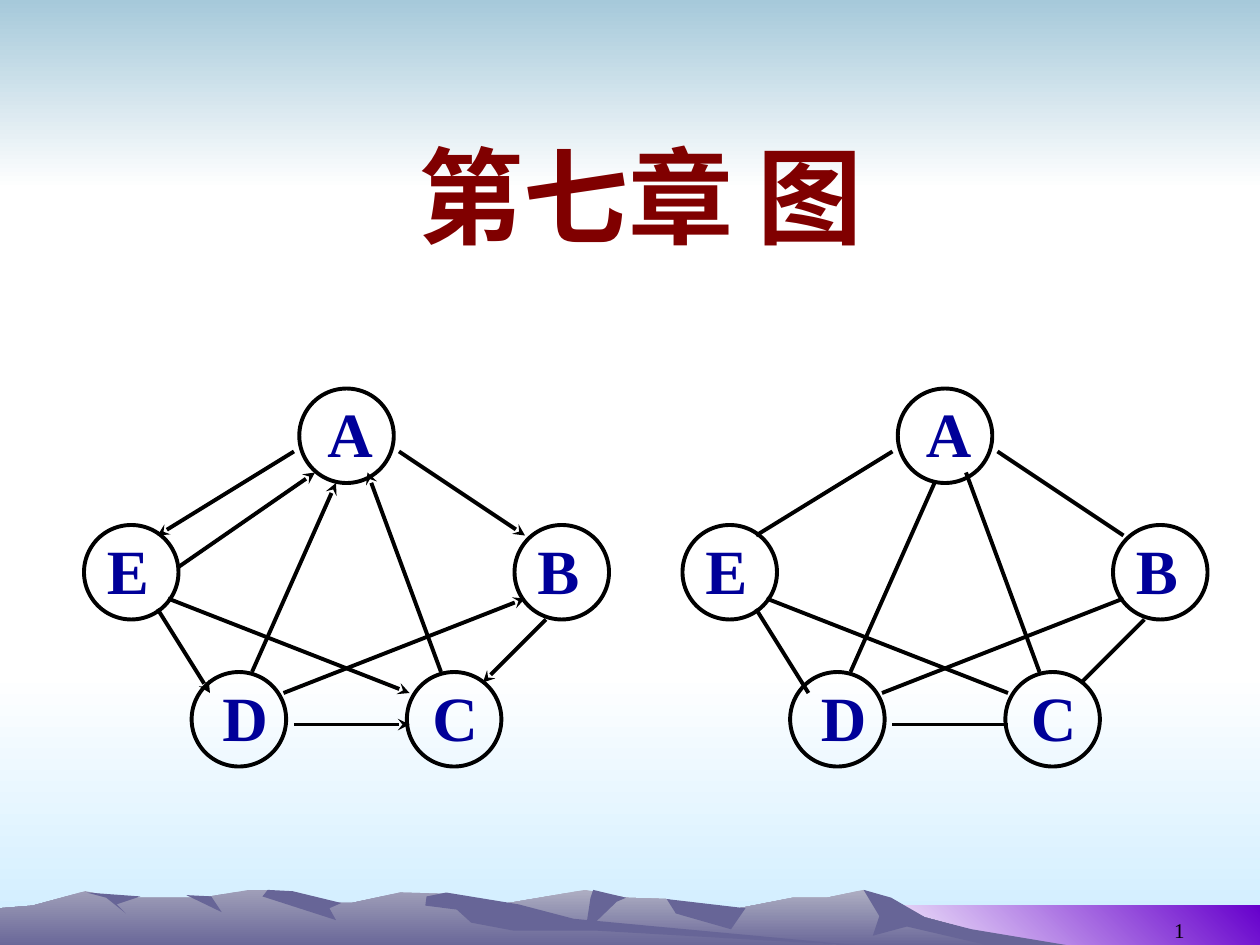
from dataclasses import dataclass

from lxml import etree
from pptx import Presentation
from pptx.dml.color import RGBColor
from pptx.enum.shapes import MSO_CONNECTOR, MSO_SHAPE
from pptx.enum.text import MSO_ANCHOR, MSO_AUTO_SIZE, PP_ALIGN
from pptx.oxml.ns import qn
from pptx.util import Pt

PX = 9525  # EMU per px, 96 px to the inch
RECTANGLE, OVAL = MSO_SHAPE.RECTANGLE, MSO_SHAPE.OVAL
STRAIGHT = MSO_CONNECTOR.STRAIGHT
MIDDLE, BOTTOM = MSO_ANCHOR.MIDDLE, MSO_ANCHOR.BOTTOM
CENTER, RIGHT = PP_ALIGN.CENTER, PP_ALIGN.RIGHT
FIT_SHAPE = MSO_AUTO_SIZE.SHAPE_TO_FIT_TEXT


@dataclass
class Theme:
    title_font: str = "Noto Sans CJK SC"
    body_font: str = "Times New Roman"
    title_size: int = 60
    label_size: int = 36
    number_size: int = 12
    line_width: float = 2.25
    title: str = "800000"
    label: str = "000099"
    ink: str = "000000"
    white: str = "FFFFFF"
    sky: str = "A6C9DA"
    haze: str = "CCECFF"
    purple: str = "6600CC"
    crag: str = "676597"
    far_ridge: str = "AEAEC2"
    near_ridge: str = "9F9EB8"


theme = Theme()


def paint(shape, colors, angle=270):
    """Fill with one colour, or with a two-colour gradient; no outline."""
    shape.shadow.inherit = False
    shape.line.fill.background()
    if len(colors) == 1:
        shape.fill.solid()
        shape.fill.fore_color.rgb = RGBColor.from_string(colors[0])
        return
    shape.fill.gradient()
    shape.fill.gradient_angle = angle
    for stop, color in zip(shape.fill.gradient_stops, colors):
        stop.color.rgb = RGBColor.from_string(color)


def style(paragraph, font_name, size, color, bold=False):
    font = paragraph.runs[0].font
    font.name, font.size, font.bold = font_name, Pt(size), bold
    font.color.rgb = RGBColor.from_string(color)


deck = Presentation()
deck.slide_width, deck.slide_height = 960 * PX, 720 * PX
slide = deck.slides.add_slide(deck.slide_layouts[5])
shapes = slide.shapes

# Background bands: left, top, width, height, colours, gradient angle
bands = [
    (0, 512, 960, 208, (theme.white, theme.haze), 270),
    (0, 0, 960, 144, (theme.sky, theme.white), 270),
    (656, 690, 304, 32, (theme.white, theme.purple), 45),
]
for left, top, width, height, colors, angle in bands:
    band = shapes.add_shape(RECTANGLE, left * PX, top * PX, width * PX, height * PX)
    paint(band, colors, angle)

# Mountains, from the far ridge to the near one, each followed by its crags
far_slope = (theme.far_ridge, theme.crag)
near_slope = (theme.near_ridge, theme.crag)
crag = (theme.crag,)
mountains = [
    (far_slope, [
        (788, 722), (694, 696), (658, 678), (630, 684), (604, 684), (543, 696), (508, 685),
        (477, 684), (446, 678), (341, 696), (248, 722)]),
    (crag, [
        (824, 722), (740, 708), (705, 699), (679, 684), (658, 678), (670, 698), (665, 713),
        (691, 706), (760, 722)]),
    (crag, [(452, 678), (450, 684), (446, 710), (470, 687), (477, 684)]),
    (crag, [(508, 685), (515, 696), (557, 708), (568, 692)]),
    (near_slope, [
        (662, 722), (415, 703), (340, 681), (305, 680), (268, 688), (227, 688), (206, 678),
        (190, 678), (154, 684), (90, 684), (65, 679), (25, 690), (0, 692), (0, 722)]),
    (crag, [(204, 678), (200, 683), (256, 701), (251, 692), (260, 688), (223, 679)]),
    (crag, [
        (340, 680), (325, 683), (324, 690), (348, 693), (359, 703), (391, 709), (453, 709),
        (662, 721), (437, 700), (395, 689)]),
    (crag, [(142, 682), (169, 695), (161, 683)]),
    (crag, [(66, 680), (81, 684), (96, 696), (89, 689), (107, 683)]),
]
for colors, outline in mountains:
    builder = shapes.build_freeform(*outline[0], scale=PX)
    builder.add_line_segments(outline[1:], close=True)
    paint(builder.convert_to_shape(), colors)

page_number = shapes.add_textbox(688 * PX, 675 * PX, 224 * PX, 48 * PX).text_frame
page_number.word_wrap = True
page_number.vertical_anchor = BOTTOM
page_number.text = "1"
page_number.paragraphs[0].alignment = RIGHT
style(page_number.paragraphs[0], theme.body_font, theme.number_size, theme.ink)

# The title lies above the background bands
title = shapes.title
title.left, title.top, title.width, title.height = 80 * PX, 88 * PX, 816 * PX, 120 * PX
shapes._spTree.append(title._element)
title.text_frame.text = "第七章 图"
title.text_frame.vertical_anchor = MIDDLE
heading = title.text_frame.paragraphs[0]
heading.alignment = CENTER
style(heading, theme.title_font, theme.title_size, theme.title, bold=True)
east_asian = etree.SubElement(heading.runs[0].font._element, qn("a:ea"))
east_asian.set("typeface", theme.title_font)

# Vertices: left and top of the circle, indent of its label
VERTEX_SIZE, LABEL_WIDTH, LABEL_HEIGHT = 72, 54, 67
vertices = {
    "A": (228, 296, 12),
    "B": (392, 400, 8),
    "C": (310, 512, 10),
    "D": (146, 512, 14),
    "E": (64, 400, 8),
}
edges = [
    (224, 344, 120, 408),  # A to E
    (120, 464, 160, 528),  # E to D
    (224, 552, 312, 552),  # D to C
    (336, 512, 280, 360),  # C to A
    (304, 344, 400, 408),  # A to B
    (416, 472, 368, 520),  # B to C
    (192, 512, 256, 368),  # D to A
    (216, 528, 400, 456),  # D to B
    (128, 456, 312, 528),  # E to C
]
return_edge = (136, 432, 240, 360)  # E to A

# The directed graph stands on the left, the undirected one on the right
graphs = [(0, edges + [return_edge], True), (456, edges, False)]
for offset, graph_edges, directed in graphs:
    for letter, (left, top, indent) in vertices.items():
        vertex = shapes.add_shape(OVAL, (left + offset) * PX, top * PX,
                                  VERTEX_SIZE * PX, VERTEX_SIZE * PX)
        vertex.shadow.inherit = False
        vertex.fill.background()
        vertex.line.color.rgb = RGBColor.from_string(theme.ink)
        vertex.line.width = Pt(theme.line_width)

        label = shapes.add_textbox((left + indent + offset) * PX, top * PX,
                                   LABEL_WIDTH * PX, LABEL_HEIGHT * PX).text_frame
        label.word_wrap = False
        label.auto_size = FIT_SHAPE
        label.text = letter
        style(label.paragraphs[0], theme.body_font, theme.label_size, theme.label, bold=True)

    for x1, y1, x2, y2 in graph_edges:
        edge = shapes.add_connector(STRAIGHT, (x1 + offset) * PX, y1 * PX,
                                    (x2 + offset) * PX, y2 * PX)
        edge.line.color.rgb = RGBColor.from_string(theme.ink)
        edge.line.width = Pt(theme.line_width)
        if directed:
            arrowhead = etree.SubElement(edge.line._get_or_add_ln(), qn("a:tailEnd"))
            arrowhead.set("type", "stealth")
        etree.SubElement(edge._element.spPr, qn("a:effectLst"))

deck.save("out.pptx")
